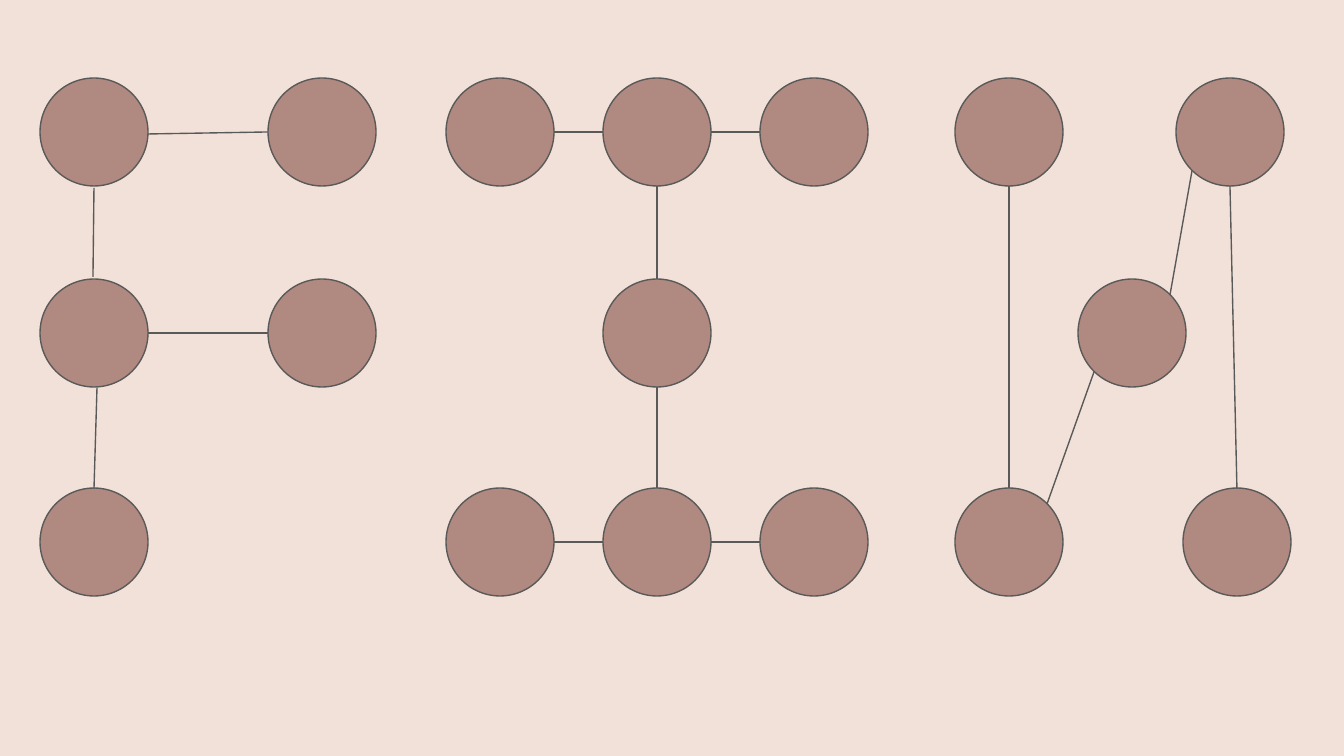
from dataclasses import dataclass

from lxml import etree
from pptx import Presentation
from pptx.dml.color import RGBColor
from pptx.enum import shapes
from pptx.oxml import ns
from pptx.slide import Slide
from pptx.util import Emu, Pt

PX_PER_INCH = 134.4
SLIDE_WIDTH, SLIDE_HEIGHT = 1344, 756
RADIUS = 54
TOP, MIDDLE, BOTTOM = 132, 333, 542  # row centres

BACKGROUND = RGBColor(0xF2, 0xE1, 0xD8)
CIRCLE_FILL = RGBColor(0xB0, 0x89, 0x80)
OUTLINE = RGBColor(0x59, 0x59, 0x59)
LINE_WIDTH = Pt(0.75)


@dataclass(frozen=True)
class Circle:
    x: int
    y: int


@dataclass(frozen=True)
class Link:
    x1: int
    y1: int
    x2: int
    y2: int


@dataclass(frozen=True)
class Letter:
    circles: list[Circle]
    links: list[Link]


def px(length: int) -> Emu:
    return Emu(round(length * 914400 / PX_PER_INCH))


def across(left: int, right: int, y: int) -> Link:
    """Link the facing edges of two circles in a row."""
    return Link(left + RADIUS, y, right - RADIUS, y)


def down(x: int, upper: int, lower: int) -> Link:
    """Link the facing edges of two circles in a column."""
    return Link(x, upper + RADIUS, x, lower - RADIUS)


def draw_circle(slide: Slide, circle: Circle) -> None:
    shape = slide.shapes.add_shape(
        shapes.MSO_SHAPE.OVAL,
        px(circle.x - RADIUS), px(circle.y - RADIUS), px(2 * RADIUS), px(2 * RADIUS),
    )
    shape.shadow.inherit = False
    shape.fill.solid()
    shape.fill.fore_color.rgb = CIRCLE_FILL
    shape.line.color.rgb = OUTLINE
    shape.line.width = LINE_WIDTH


def draw_link(slide: Slide, link: Link) -> None:
    connector = slide.shapes.add_connector(
        shapes.MSO_CONNECTOR.STRAIGHT,
        px(link.x1), px(link.y1), px(link.x2), px(link.y2),
    )
    connector.line.color.rgb = OUTLINE
    connector.line.width = LINE_WIDTH
    etree.SubElement(connector._element.spPr, ns.qn("a:effectLst"))


# Left letter: a stem with two arms
F_STEM, F_ARM = 94, 322
LETTER_F = Letter(
    circles=[Circle(F_STEM, y) for y in (TOP, MIDDLE, BOTTOM)]
    + [Circle(F_ARM, y) for y in (TOP, MIDDLE)],
    links=[
        Link(94, 188, 93, 277),
        Link(97, 388, 94, 489),
        Link(148, 134, 268, 132),
        across(F_STEM, F_ARM, MIDDLE),
    ],
)

# Middle letter: a stem between two bars
I_LEFT, I_STEM, I_RIGHT = 500, 657, 814
LETTER_I = Letter(
    circles=[Circle(x, y) for y in (TOP, BOTTOM) for x in (I_LEFT, I_STEM, I_RIGHT)]
    + [Circle(I_STEM, MIDDLE)],
    links=[
        across(left, right, y)
        for y in (TOP, BOTTOM)
        for left, right in ((I_LEFT, I_STEM), (I_STEM, I_RIGHT))
    ]
    + [down(I_STEM, TOP, MIDDLE), down(I_STEM, MIDDLE, BOTTOM)],
)

# Right letter: two stems and a rising diagonal
N_STEM = 1009
LETTER_N = Letter(
    circles=[
        Circle(N_STEM, TOP),
        Circle(N_STEM, BOTTOM),
        Circle(1132, MIDDLE),
        Circle(1230, TOP),
        Circle(1237, BOTTOM),
    ],
    links=[
        down(N_STEM, TOP, BOTTOM),
        Link(1094, 372, 1047, 504),
        Link(1192, 171, 1170, 295),
        Link(1230, 186, 1237, 489),
    ],
)


def main() -> None:
    presentation = Presentation()
    presentation.slide_width = px(SLIDE_WIDTH)
    presentation.slide_height = px(SLIDE_HEIGHT)
    slide = presentation.slides.add_slide(presentation.slide_layouts[6])
    slide.background.fill.solid()
    slide.background.fill.fore_color.rgb = BACKGROUND

    for letter in (LETTER_F, LETTER_I, LETTER_N):
        for circle in letter.circles:
            draw_circle(slide, circle)
        for link in letter.links:
            draw_link(slide, link)

    presentation.save("out.pptx")


if __name__ == "__main__":
    main()
